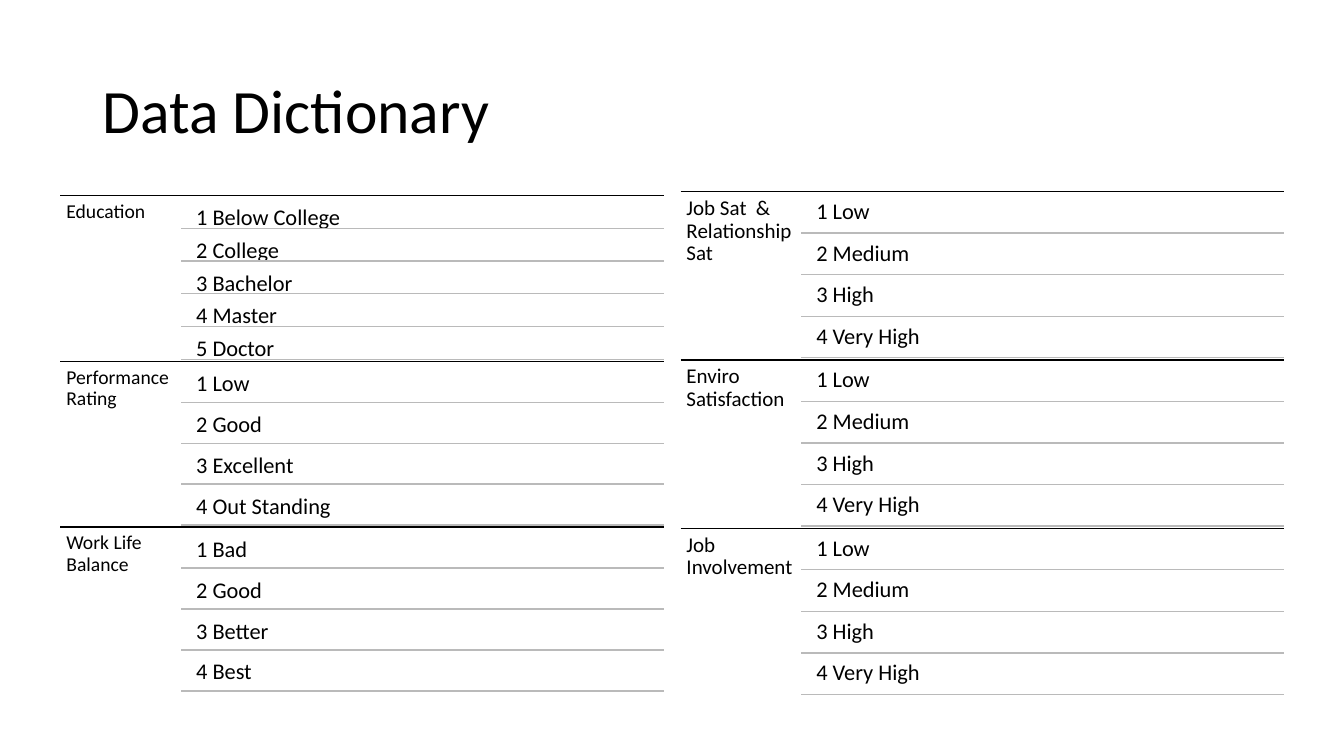
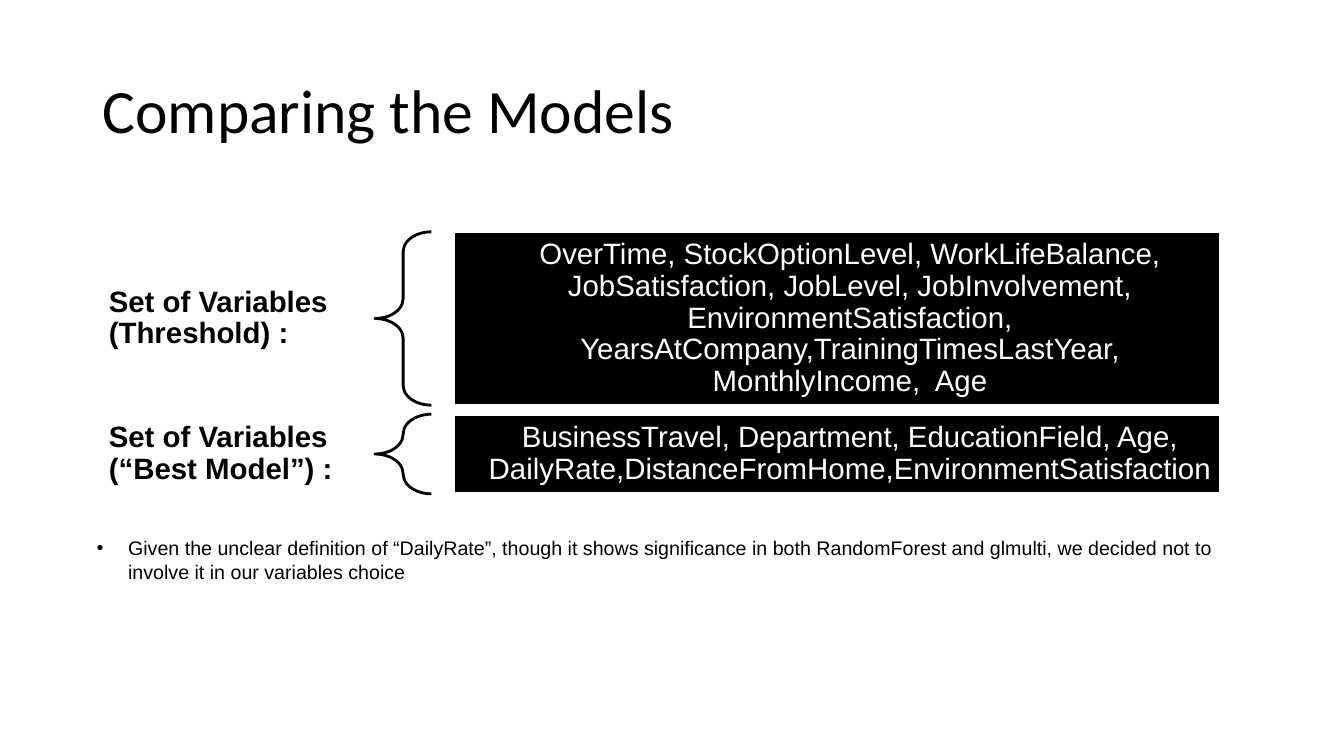
from lxml import etree
from pptx import Presentation
from pptx.dml.color import RGBColor
from pptx.enum.shapes import MSO_CONNECTOR, MSO_SHAPE
from pptx.enum.text import MSO_ANCHOR
from pptx.oxml.ns import qn
from pptx.util import Inches, Pt

TOP, MIDDLE = MSO_ANCHOR.TOP, MSO_ANCHOR.MIDDLE
STRAIGHT = MSO_CONNECTOR.STRAIGHT
BRACE, RECTANGLE = MSO_SHAPE.LEFT_BRACE, MSO_SHAPE.RECTANGLE

WIDTH, HEIGHT = Inches(13.33), Inches(7.5)
COLORS = {"ink": "000000", "rule": "BABABA", "paper": "FFFFFF"}
HEADING_FONT, BODY_FONT = "Calibri", "Arial"
MARGIN = 6.9

DICTIONARY = [
    {"left": 4.5, "top": 25.87, "pitch": 21.93, "drop": 0.53, "size": 14, "sections": [
        ("Education", ["Below College", "College", "Bachelor", "Master", "Doctor"]),
        ("Performance Rating", ["Low", "Good", "Excellent", "Out Standing"]),
        ("Work Life Balance", ["Bad", "Good", "Better", "Best"]),
    ]},
    {"left": 50.64, "top": 25.33, "pitch": 22.27, "drop": 0.27, "size": 15, "sections": [
        (label, ["Low", "Medium", "High", "Very High"])
        for label in ("Job Sat  & Relationship Sat", "Enviro Satisfaction", "Job Involvement")
    ]},
]
COLUMN_WIDTH, LABEL_WIDTH, VALUE_OFFSET, SECTION_GAP = 44.87, 8.97, 9.6, 0.27

MODELS = [
    (30.67, 22.93, "Set of Variables (Threshold) :",
     "OverTime, StockOptionLevel, WorkLifeBalance, JobSatisfaction, JobLevel, "
     "JobInvolvement, EnvironmentSatisfaction, YearsAtCompany,TrainingTimesLastYear, "
     "MonthlyIncome,  Age"),
    (54.8, 10.53, "Set of Variables (“Best Model”) :",
     "BusinessTravel, Department, EducationField, Age, "
     "DailyRate,DistanceFromHome,EnvironmentSatisfaction"),
]
NOTE = ("Given the unclear definition of “DailyRate”, though it shows significance in both "
        "RandomForest and glmulti, we decided not to involve it in our variables choice")


def across(percent):
    """Turn a percentage of the slide width into a length."""
    return round(WIDTH * percent / 100)


def down(percent):
    """Turn a percentage of the slide height into a length."""
    return round(HEIGHT * percent / 100)


def area(left, top, width, height):
    """Turn a rectangle in slide percentages into lengths."""
    return across(left), down(top), across(width), down(height)


def rgb(name):
    """Look up a named colour."""
    return RGBColor.from_string(COLORS[name])


def write(frame, text, *, size, font=BODY_FONT, color="ink", bold=False, anchor=TOP,
          inset=(7.2, 3.6), left_inset=None, spacing=0.9, hanging=0):
    """Fill a text frame with one formatted paragraph; insets are in points."""
    side, edge = inset
    frame.word_wrap = True
    frame.vertical_anchor = anchor
    frame.margin_left = Pt(side if left_inset is None else left_inset)
    frame.margin_right = Pt(side)
    frame.margin_top = frame.margin_bottom = Pt(edge)
    paragraph = frame.paragraphs[0]
    paragraph.line_spacing = spacing
    run = paragraph.add_run()
    run.text = text
    run.font.name, run.font.size, run.font.bold = font, Pt(size), bold
    run.font.color.rgb = rgb(color)
    if hanging:
        properties = paragraph._p.get_or_add_pPr()
        properties.set("marL", str(Pt(hanging)))
        properties.set("indent", str(-Pt(hanging)))
        etree.SubElement(properties, qn("a:buFont")).set("typeface", BODY_FONT)
        etree.SubElement(properties, qn("a:buChar")).set("char", "•")


def add_text(slide, box, text, **style):
    """Place a text box given in slide percentages."""
    write(slide.shapes.add_textbox(*area(*box)).text_frame, text, **style)


def add_rule(slide, left, right, top, color):
    """Draw a thin horizontal rule."""
    rule = slide.shapes.add_connector(
        STRAIGHT, across(left), down(top), across(right), down(top))
    rule.line.color.rgb = rgb(color)
    rule.line.width = Pt(1)
    etree.SubElement(rule._element.spPr, qn("a:effectLst"))


def add_outlined(slide, kind, box, line, fill=None):
    """Place a preset shape with a two-point outline and an optional fill."""
    shape = slide.shapes.add_shape(kind, *area(*box))
    shape.shadow.inherit = False
    shape.line.color.rgb = rgb(line)
    shape.line.width = Pt(2)
    if fill:
        shape.fill.solid()
        shape.fill.fore_color.rgb = rgb(fill)
    else:
        shape.fill.background()
    return shape


def add_titled_slide(deck, title):
    """Add a blank slide with the shared title style."""
    slide = deck.slides.add_slide(deck.slide_layouts[6])
    add_text(slide, (MARGIN, 5.33, 86.25, 19.33), title,
             size=44, font=HEADING_FONT, anchor=MIDDLE)
    return slide


def add_section(slide, column, top, label, values):
    """Draw one variable with its numbered, ruled values."""
    left, right = column["left"], column["left"] + COLUMN_WIDTH
    value_left = left + VALUE_OFFSET
    row = (column["pitch"] - SECTION_GAP) / len(values)
    add_rule(slide, left, right, top, "ink")
    add_text(slide, (left, top, LABEL_WIDTH, column["pitch"]), label,
             size=column["size"], font=HEADING_FONT, inset=(4.2, 4.2))
    for index, value in enumerate(values):
        row_top = top + index * row
        add_text(slide, (value_left, row_top + column["drop"], right - value_left, row),
                 f"{index + 1} {value}", size=16, font=HEADING_FONT, inset=(4.8, 4.8))
        add_rule(slide, left + LABEL_WIDTH, right, row_top + row, "rule")


def add_model(slide, top, height, label, variables):
    """Draw a label, a brace and the box of variables it stands for."""
    label_height = 9.6
    add_text(slide, (MARGIN, top + (height - label_height) / 2, 21, label_height), label,
             size=21, bold=True, anchor=MIDDLE, inset=(11.5, 4.5))
    brace = add_outlined(slide, BRACE, (27.9, top, 4.2, height), "ink")
    brace.adjustments[0], brace.adjustments[1] = 0.35, 0.5
    panel = add_outlined(slide, RECTANGLE, (33.75, top, 57.08, height), "paper", "ink")
    write(panel.text_frame, variables, size=21, color="paper", anchor=MIDDLE,
          inset=(6, 6), left_inset=24.3)


def build_dictionary(deck):
    """Build the slide that explains the coded values."""
    slide = add_titled_slide(deck, "Data Dictionary")
    for column in DICTIONARY:
        for index, (label, values) in enumerate(column["sections"]):
            add_section(slide, column, column["top"] + index * column["pitch"], label, values)


def build_comparison(deck):
    """Build the slide that compares the sets of variables."""
    slide = add_titled_slide(deck, "Comparing the Models")
    add_text(slide, (6.45, 70.27, 87.17, 9.47), NOTE, size=14, spacing=1.0, hanging=22.5)
    for model in MODELS:
        add_model(slide, *model)


def main():
    """Build and save the presentation."""
    deck = Presentation()
    deck.slide_width, deck.slide_height = WIDTH, HEIGHT
    build_dictionary(deck)
    build_comparison(deck)
    deck.save("out.pptx")


if __name__ == "__main__":
    main()
